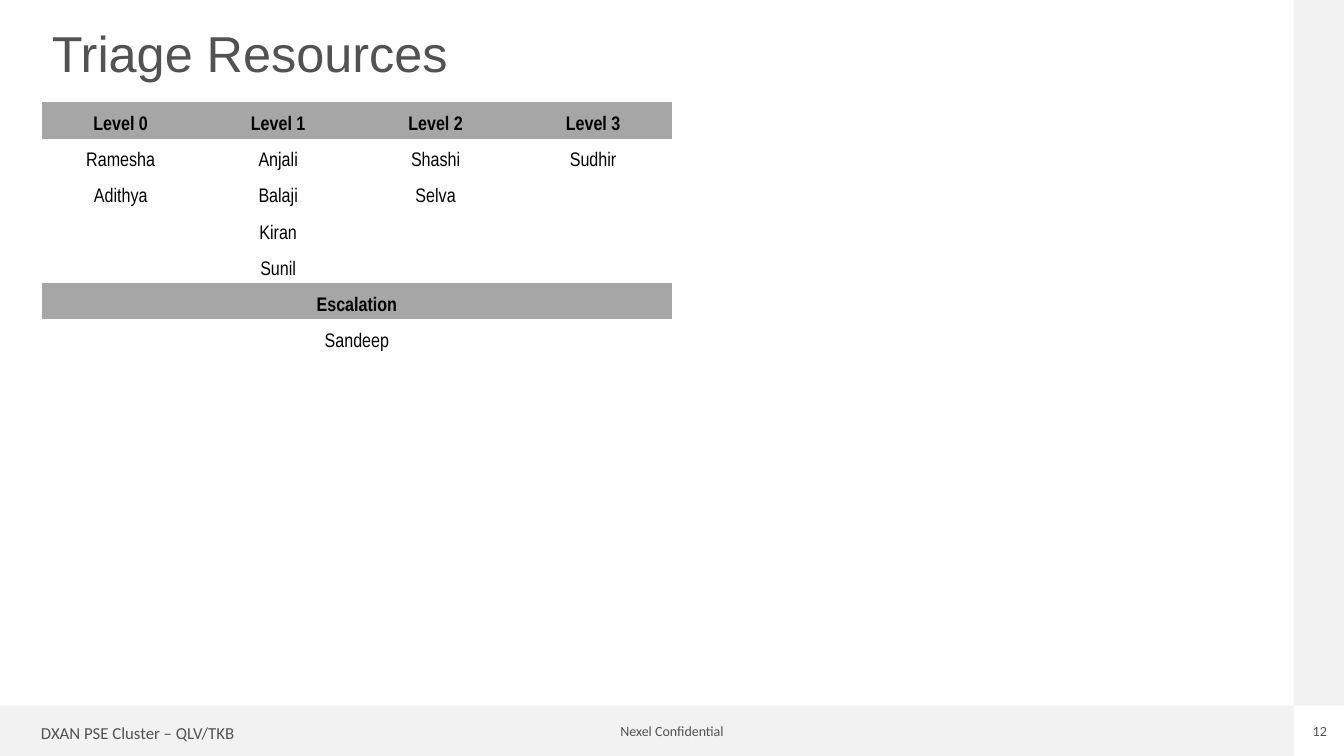
from pptx import Presentation
from pptx.dml.color import RGBColor
from pptx.enum.shapes import MSO_SHAPE
from pptx.enum.text import MSO_ANCHOR, PP_ALIGN
from pptx.oxml.ns import qn
from pptx.util import Pt

COLORS = {"band": "F2F2F2", "grey": "525252", "header": "A6A6A6", "black": "000000"}
PAGE_WIDTH, PAGE_HEIGHT = 960, 540
FOOTER_HEIGHT = SIDE_WIDTH = 36
PLAIN_TABLE_STYLE = "{2D5ABB26-0587-4C30-8999-92F81FD0307C}"

LEVELS = {
    "Level 0": ["Ramesha", "Adithya"],
    "Level 1": ["Anjali", "Balaji", "Kiran", "Sunil"],
    "Level 2": ["Shashi", "Selva"],
    "Level 3": ["Sudhir"],
}
ESCALATION = ["Escalation", "Sandeep"]


def write(frame, text, font="Calibri", size=10, color="grey", bold=False,
          align=PP_ALIGN.LEFT, spacing=1.0):
    para = frame.paragraphs[0]
    para.alignment = align
    para.line_spacing = spacing
    span = para.add_run()
    span.text = text
    span.font.name = font
    span.font.size = Pt(size)
    span.font.bold = bold
    span.font.color.rgb = RGBColor.from_string(COLORS[color])


def add_text(page, box, text, wrap=False, inset=(7.2, 3.6), **text_format):
    frame = page.shapes.add_textbox(*map(Pt, box)).text_frame
    frame.word_wrap = wrap
    frame.margin_left = frame.margin_right = Pt(inset[0])
    frame.margin_top = frame.margin_bottom = Pt(inset[1])
    write(frame, text, **text_format)


def add_band(page, box):
    band = page.shapes.add_shape(MSO_SHAPE.RECTANGLE, *map(Pt, box))
    band.shadow.inherit = False
    band.fill.solid()
    band.fill.fore_color.rgb = RGBColor.from_string(COLORS["band"])
    band.line.fill.background()


def add_frame(page, left, top, width, height):
    """Footer and side bands with the footer texts."""
    footer_top = top + height - FOOTER_HEIGHT
    side_left = left + width - SIDE_WIDTH
    add_band(page, (left, footer_top, width - SIDE_WIDTH, FOOTER_HEIGHT))
    add_band(page, (side_left, top, SIDE_WIDTH, height - FOOTER_HEIGHT))
    add_text(page, (left + width / 2 - 48, footer_top + 8.6, 96, 19.4),
             "Nexel Confidential", align=PP_ALIGN.CENTER)
    add_text(page, (left + 22.2, footer_top + 8.6, 188, 21.8),
             "DXAN PSE Cluster – QLV/TKB", size=12, wrap=True)
    add_text(page, (side_left + 12.2, footer_top + 12.1, 13, 12.2), "12",
             inset=(0, 0), align=PP_ALIGN.CENTER)


def add_resources(page, left, top, width, height):
    """Names by triage level, then the escalation contact across all columns."""
    depth = max(map(len, LEVELS.values()))
    rows = [list(LEVELS)]
    rows += [[names[i] if i < len(names) else "" for names in LEVELS.values()]
             for i in range(depth)]
    rows += [[label] + [""] * (len(LEVELS) - 1) for label in ESCALATION]
    header_rows = (0, depth + 1)

    table = page.shapes.add_table(len(rows), len(LEVELS),
                                  *map(Pt, (left, top, width, height))).table
    table.first_row = table.horz_banding = False
    table._tbl.tblPr.find(qn("a:tableStyleId")).text = PLAIN_TABLE_STYLE
    for column in table.columns:
        column.width = Pt(width / len(LEVELS))
    for row in table.rows:
        row.height = Pt(height / len(rows))
    for i in range(depth + 1, len(rows)):
        table.cell(i, 0).merge(table.cell(i, len(LEVELS) - 1))

    for i, row in enumerate(rows):
        for j, text in enumerate(row):
            cell = table.cell(i, j)
            cell.vertical_anchor = MSO_ANCHOR.MIDDLE
            cell.margin_left = cell.margin_right = cell.margin_top = Pt(0.6)
            cell.margin_bottom = Pt(0)
            if i in header_rows:
                cell.fill.solid()
                cell.fill.fore_color.rgb = RGBColor.from_string(COLORS["header"])
            else:
                cell.fill.background()
            write(cell.text_frame, text, font="Arial Narrow", size=14, color="black",
                  bold=i in header_rows, align=PP_ALIGN.CENTER, spacing=1.5)


def main():
    deck = Presentation()
    deck.slide_width, deck.slide_height = Pt(PAGE_WIDTH), Pt(PAGE_HEIGHT)
    page = deck.slides.add_slide(deck.slide_layouts[6])
    add_frame(page, 0, 0, PAGE_WIDTH, PAGE_HEIGHT)
    add_text(page, (30, 17, 864, 94), "Triage Resources", wrap=True,
             font="Arial", size=36, spacing=0.9)
    add_resources(page, 30, 73.2, 450, 180.7)
    deck.save("out.pptx")


if __name__ == "__main__":
    main()
